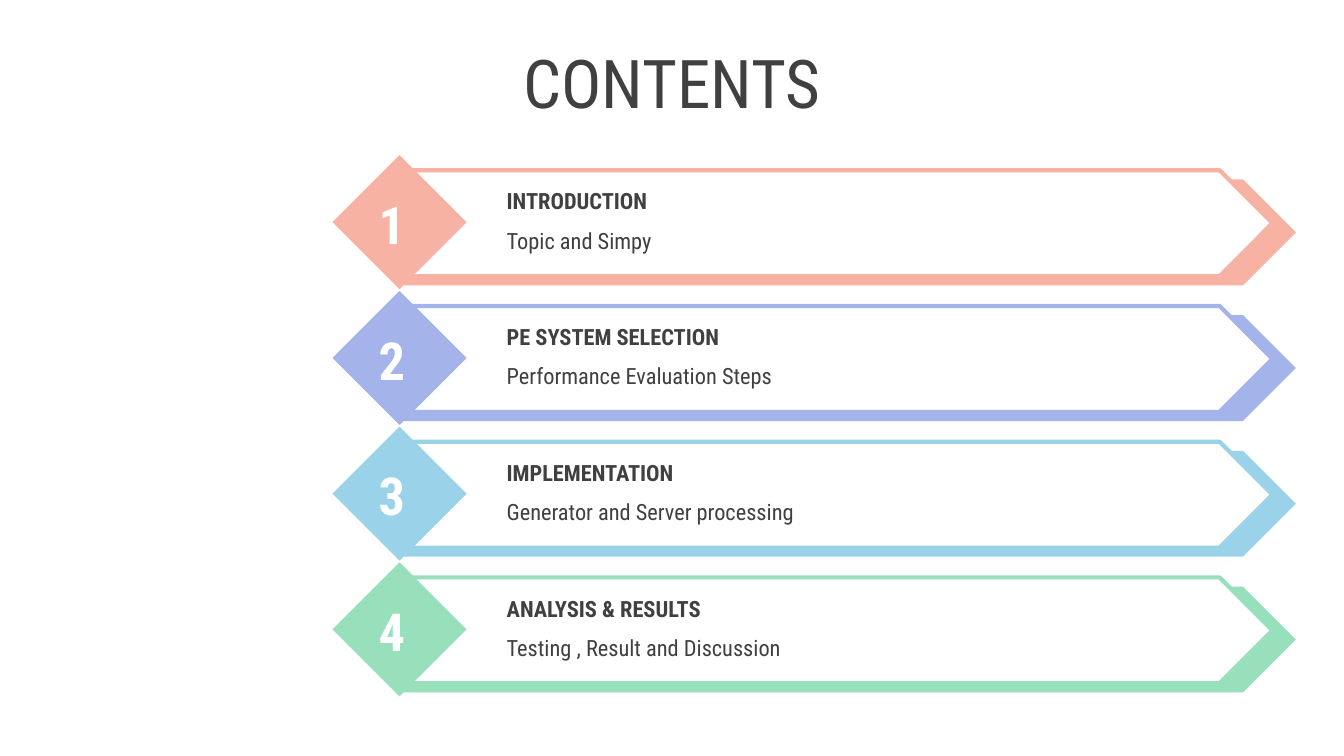
from pptx import Presentation
from pptx.dml.color import RGBColor
from pptx.enum.shapes import MSO_SHAPE as Preset
from pptx.enum.text import MSO_ANCHOR as Anchor, PP_ALIGN as Align
from pptx.util import Cm, Pt

COLORS = {
    "text": "404040",
    "white": "FFFFFF",
    "coral": "F8B2A3",
    "lavender": "A4B4EA",
    "sky": "9AD3E9",
    "mint": "98DFBB",
}
FONT = "Roboto Condensed"
TITLE = {"size": Pt(48), "bold": False}
NUMBER = {"size": Pt(37.4), "bold": True}
HEADING = {"size": Pt(16), "bold": True}
DETAIL = {"size": Pt(16), "bold": False}

CHAPTERS = [
    ("coral", "INTRODUCTION", "Topic and Simpy"),
    ("lavender", "PE SYSTEM SELECTION", "Performance Evaluation Steps"),
    ("sky", "IMPLEMENTATION", "Generator and Server processing"),
    ("mint", "ANALYSIS & RESULTS", "Testing , Result and Discussion"),
]
ROW_LEFT, ROW_TOP, ROW_PITCH = 8.38, 3.91, 3.42
BADGE_SIZE = 3.38
ARROW_INSET, ARROW_HEIGHT = 1.8, 2.67
TEXT_INSET, TEXT_WIDTH, TEXT_HEIGHT = 4.14, 17.6, 0.91


def rgb(name):
    return RGBColor.from_string(COLORS[name])


def add_text(page, box, words, style, color="text", align=Align.LEFT,
             anchor=Anchor.TOP, wrap=True):
    frame = page.shapes.add_textbox(*map(Cm, box)).text_frame
    frame.word_wrap = wrap
    frame.vertical_anchor = anchor
    para = frame.paragraphs[0]
    para.alignment = align
    span = para.add_run()
    span.text = words
    span.font.color.rgb = rgb(color)
    for name, value in {"name": FONT, **style}.items():
        setattr(span.font, name, value)


def add_preset(page, preset, box, fill, outline=None):
    shape = page.shapes.add_shape(preset, *map(Cm, box))
    shape.shadow.inherit = False
    shape.fill.solid()
    shape.fill.fore_color.rgb = rgb(fill)
    if outline:
        shape.line.color.rgb = rgb(outline)
        shape.line.width = Pt(3)
    else:
        shape.line.fill.background()


def add_title(page, box):
    add_text(page, box, "CONTENTS", TITLE, align=Align.CENTER, anchor=Anchor.MIDDLE)


def add_chapter(page, left, top, number, color, heading, detail):
    arrow_left = left + ARROW_INSET
    add_preset(page, Preset.PENTAGON, (arrow_left, top + 0.61, 22.48, ARROW_HEIGHT), color)
    add_preset(page, Preset.PENTAGON, (arrow_left, top + 0.38, 21.89, ARROW_HEIGHT),
               "white", color)
    add_preset(page, Preset.DIAMOND, (left, top, BADGE_SIZE, BADGE_SIZE), color)
    add_text(page, (left + 0.9, top + 0.81, 1.5, 1.83), f"{number} ", NUMBER, "white",
             Align.CENTER, Anchor.MIDDLE, wrap=False)
    for words, style, drop in ((heading, HEADING, 0.69), (detail, DETAIL, 1.68)):
        add_text(page, (left + TEXT_INSET, top + drop, TEXT_WIDTH, TEXT_HEIGHT), words, style)


def main():
    deck = Presentation()
    deck.slide_width, deck.slide_height = Cm(33.87), Cm(19.05)
    page = deck.slides.add_slide(deck.slide_layouts[6])
    add_title(page, (0, 0.99, 33.87, 2.13))
    for index, chapter in enumerate(CHAPTERS):
        add_chapter(page, ROW_LEFT, ROW_TOP + index * ROW_PITCH, index + 1, *chapter)
    deck.save("out.pptx")


if __name__ == "__main__":
    main()
